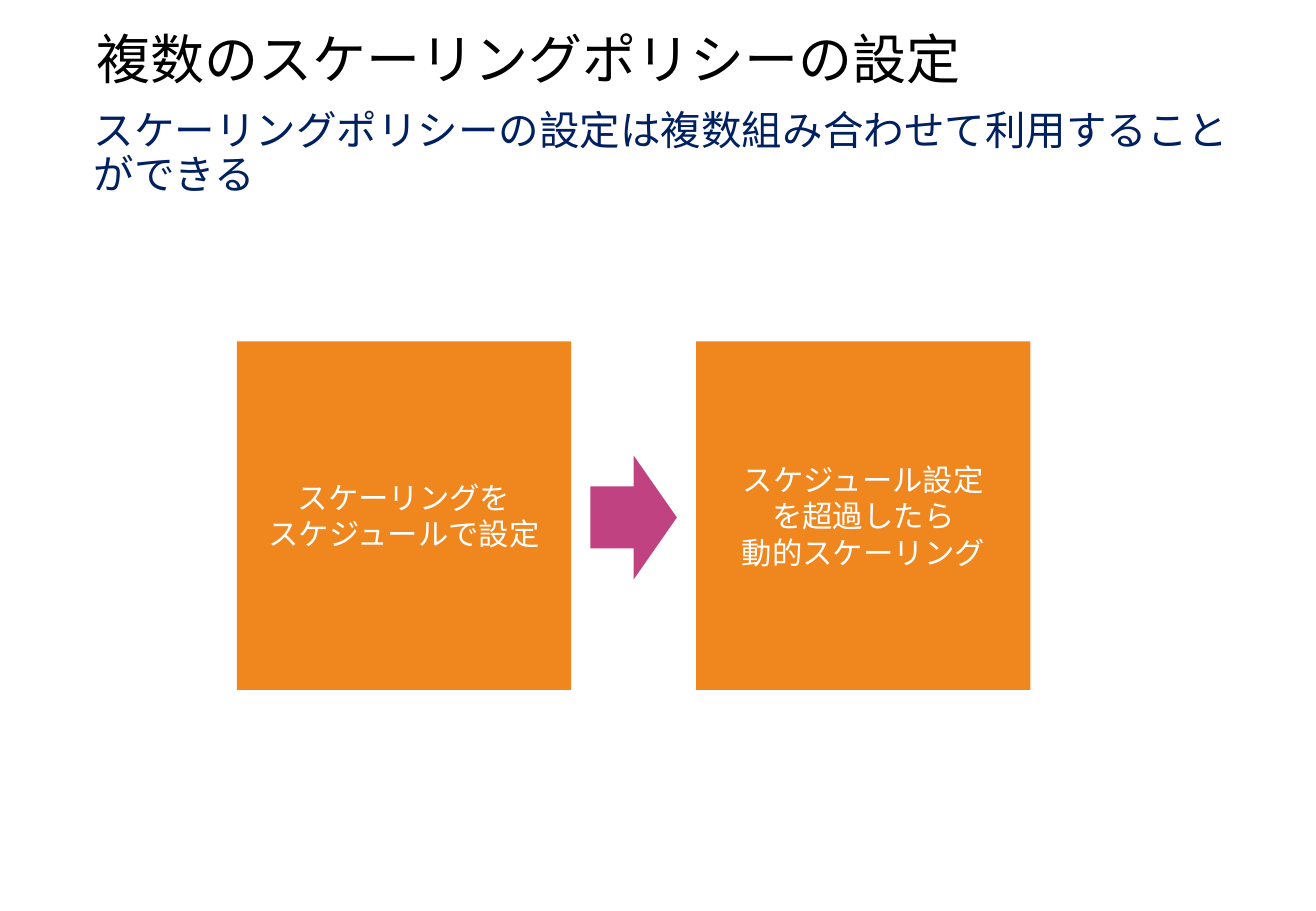
from pptx import Presentation
from pptx.dml.color import RGBColor
from pptx.enum.shapes import MSO_SHAPE
from pptx.enum.text import MSO_ANCHOR, PP_ALIGN
from pptx.oxml.ns import qn
from pptx.util import Inches, Pt

RECT, ARROW = MSO_SHAPE.RECTANGLE, MSO_SHAPE.RIGHT_ARROW
TOP, MIDDLE = MSO_ANCHOR.TOP, MSO_ANCHOR.MIDDLE
LEFT, CENTER = PP_ALIGN.LEFT, PP_ALIGN.CENTER

THEME = {
    "font": "Noto Sans CJK JP",
    "title": (32, "000000"),
    "lead": (24, "002060"),
    "step": (18, "FFFFFF"),
    "box": "F0861E",
    "arrow": "C04281",
}

prs = Presentation()
prs.slide_width, prs.slide_height = Inches(10.83), Inches(7.5)
COL, ROW = prs.slide_width / 100, prs.slide_height / 100
s = prs.slides.add_slide(prs.slide_layouts[6])


def cells(x, y, w, h):
    return int(x * COL), int(y * ROW), int(w * COL), int(h * ROW)


def write(sp, paragraphs, style, align, anchor, inset, spacing):
    size, color = THEME[style]
    tf = sp.text_frame
    tf.word_wrap = True
    tf.vertical_anchor = anchor
    tf.margin_left = tf.margin_right = Inches(inset[0])
    tf.margin_top = tf.margin_bottom = Inches(inset[1])
    for i, lines in enumerate(paragraphs):
        p = tf.add_paragraph() if i else tf.paragraphs[0]
        p.alignment = align
        p.line_spacing = spacing
        p.font.size = Pt(size)
        for j, line in enumerate(lines):
            if j:
                p.add_line_break()
            r = p.add_run()
            r.text = line
            r.font.size = Pt(size)
            r.font.name = THEME["font"]
            r.font.color.rgb = RGBColor.from_string(color)
            ea = r.font._element.makeelement(qn("a:ea"), {"typeface": THEME["font"]})
            r.font._element.append(ea)


headings = [
    ("title", "複数のスケーリングポリシーの設定", (6.4, 2.93, 87.3, 7.33), (0.1, 0.05)),
    ("lead", "スケーリングポリシーの設定は複数組み合わせて利用することができる",
     (6.4, 11.6, 89.5, 4.8), (0.08, 0.04)),
]
for style, text, area, inset in headings:
    sp = s.shapes.add_textbox(*cells(*area))
    write(sp, [[text]], style, LEFT, TOP, inset, 0.9)

steps = [
    [["スケーリングを"], ["スケジュールで設定"]],
    [["スケジュール設定", "を超過したら", "動的スケーリング"]],
]
BOX_X, BOX_Y, BOX_W, BOX_H, PITCH = 18, 37.47, 25.4, 38.27, 34.9
ARROW_W, ARROW_H = 6.56, 13.6
gap_middle = BOX_X + (BOX_W + PITCH) / 2
row_middle = BOX_Y + BOX_H / 2

shapes = [(RECT, "box", (BOX_X + i * PITCH, BOX_Y, BOX_W, BOX_H), text)
          for i, text in enumerate(steps)]
shapes.append((ARROW, "arrow", (gap_middle - ARROW_W / 2, row_middle - ARROW_H / 2 + 0.2,
                                ARROW_W, ARROW_H), []))
for kind, fill, area, text in shapes:
    sp = s.shapes.add_shape(kind, *cells(*area))
    sp.shadow.inherit = False
    sp.fill.solid()
    sp.fill.fore_color.rgb = RGBColor.from_string(THEME[fill])
    sp.line.fill.background()
    write(sp, text, "step", CENTER, MIDDLE, (0.04, 0.04), 1.0)

prs.save("out.pptx")
